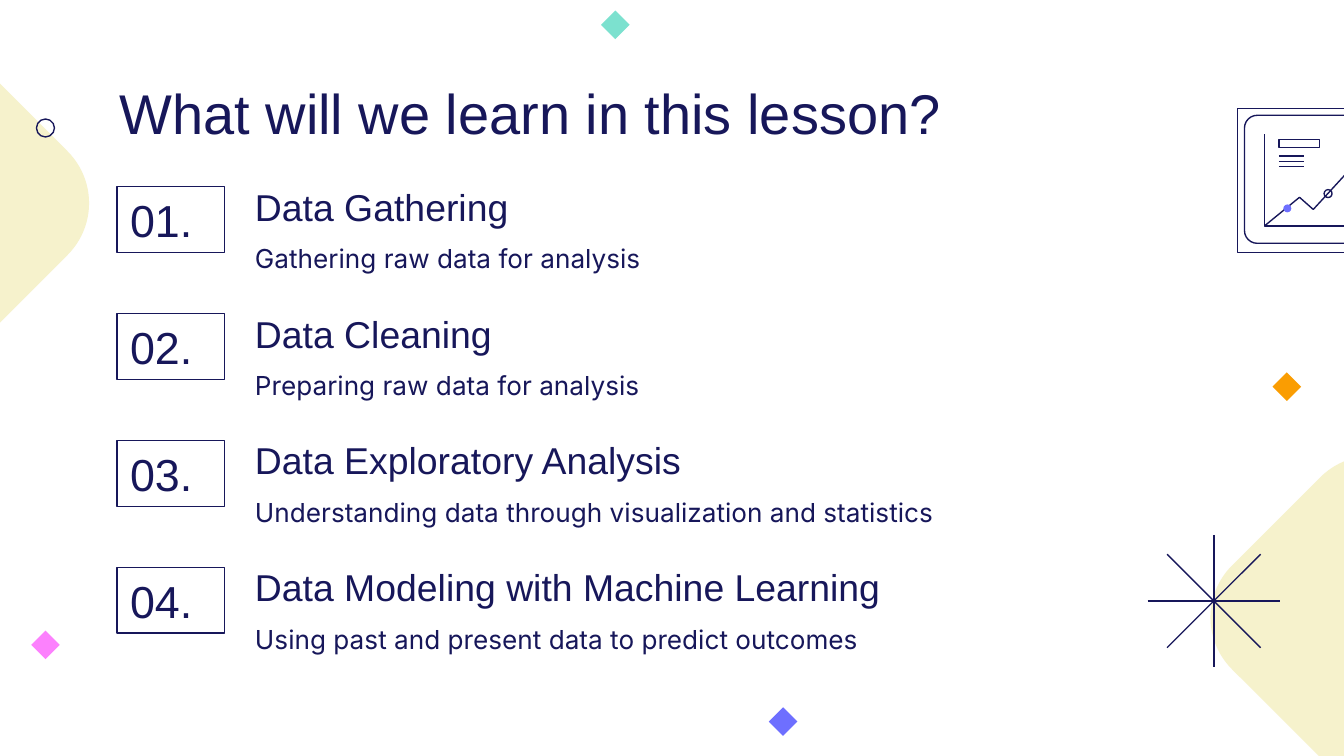
from math import cos, pi, sin

from lxml import etree
from pptx import Presentation
from pptx.dml.color import RGBColor
from pptx.enum.shapes import MSO_CONNECTOR, MSO_SHAPE
from pptx.enum.text import MSO_ANCHOR, PP_ALIGN
from pptx.oxml.ns import qn
from pptx.util import Cm, Pt

RECT = MSO_SHAPE.RECTANGLE
ROUNDED = MSO_SHAPE.ROUNDED_RECTANGLE
OVAL = MSO_SHAPE.OVAL
DIAMOND = MSO_SHAPE.DIAMOND
STRAIGHT = MSO_CONNECTOR.STRAIGHT
TOP, MIDDLE, BOTTOM = MSO_ANCHOR.TOP, MSO_ANCHOR.MIDDLE, MSO_ANCHOR.BOTTOM
LEFT = PP_ALIGN.LEFT

COLORS = {
    "navy": "17175A",
    "cream": "F6F2CC",
    "pink": "FC81FD",
    "violet": "6E6FFF",
    "orange": "FA9D02",
    "mint": "7CE1CF",
}

TITLE = "What will we learn in this lesson?"
TOPICS = [
    ("Data Gathering", "Gathering raw data for analysis"),
    ("Data Cleaning", "Preparing raw data for analysis"),
    ("Data Exploratory Analysis", "Understanding data through visualization and statistics"),
    ("Data Modeling with Machine Learning", "Using past and present data to predict outcomes"),
]
BLOBS = [(-1.37, 3.84), (25.93, 11.67)]
DIAMONDS = [
    (0.86, 12.19, "pink"),
    (14.8, 13.64, "violet"),
    (24.32, 7.31, "orange"),
    (11.63, 0.47, "mint"),
]
STAR_X, STAR_Y, STAR_RADIUS = 22.94, 11.36, 1.25
AXES = [(23.9, 2.54), (23.9, 4.27), (26.72, 4.27)]
TREND = [(23.9, 4.27), (24.56, 3.73), (24.82, 3.96), (25.7, 3), (26.06, 3.48), (26.72, 2.84)]
DOTS = [(24.33, 3.94, "violet", None), (25.1, 3.66, None, "navy")]
CAPTION_LINES = [2.95, 3.05, 3.15]

ROW_TOP, ROW_PITCH = 3.53, 2.4
NUMBER_LEFT, TEXT_LEFT, TEXT_WIDTH = 2.21, 4.57, 17.27


def rgb(name):
    return RGBColor.from_string(COLORS[name])


def paint(sp, fill=None, line=None):
    sp.shadow.inherit = False
    if fill:
        sp.fill.solid()
        sp.fill.fore_color.rgb = rgb(fill)
    else:
        sp.fill.background()
    if line:
        sp.line.color.rgb = rgb(line)
        sp.line.width = Pt(0.75)
    else:
        sp.line.fill.background()
    return sp


def add_shape(shapes, kind, x, y, w, h, fill=None, line=None):
    return paint(shapes.add_shape(kind, Cm(x), Cm(y), Cm(w), Cm(h)), fill, line)


def add_centered(shapes, kind, x, y, size, fill=None, line=None):
    return add_shape(shapes, kind, x - size / 2, y - size / 2, size, size, fill, line)


def add_line(shapes, x1, y1, x2, y2):
    c = shapes.add_connector(STRAIGHT, Cm(x1), Cm(y1), Cm(x2), Cm(y2))
    c.line.color.rgb = rgb("navy")
    c.line.width = Pt(0.75)
    etree.SubElement(c._element.spPr, qn("a:effectLst"))


def add_polyline(shapes, points):
    pts = [(Cm(x), Cm(y)) for x, y in points]
    fb = shapes.build_freeform(*pts[0], scale=1.0)
    fb.add_line_segments(pts[1:], close=False)
    paint(fb.convert_to_shape(), line="navy")


def add_text(text, x, y, w, h, size=14, font="Arial", anchor=TOP, spacing=1.0, boxed=False):
    if boxed:
        sp = add_shape(s.shapes, RECT, x, y, w, h, line="navy")
    else:
        sp = s.shapes.add_textbox(Cm(x), Cm(y), Cm(w), Cm(h))
    tf = sp.text_frame
    tf.word_wrap = True
    tf.vertical_anchor = anchor
    tf.margin_left = tf.margin_right = tf.margin_top = tf.margin_bottom = Cm(0.25)
    p = tf.paragraphs[0]
    p.alignment = LEFT
    p.line_spacing = spacing
    r = p.add_run()
    r.text = text
    r.font.size = Pt(size)
    r.font.name = font
    r.font.color.rgb = rgb("navy")


prs = Presentation()
prs.slide_width, prs.slide_height = Cm(25.4), Cm(14.29)
s = prs.slides.add_slide(prs.slide_layouts[6])

for x, y in BLOBS:
    sp = add_centered(s.shapes, ROUNDED, x, y, 5.13, fill="cream")
    sp.adjustments[0] = 0.27
    sp.rotation = 45

star = s.shapes.add_group_shape().shapes
for i in range(4):
    dx, dy = STAR_RADIUS * cos(i * pi / 4), STAR_RADIUS * sin(i * pi / 4)
    add_line(star, STAR_X - dx, STAR_Y - dy, STAR_X + dx, STAR_Y + dy)

for x, y, color in DIAMONDS:
    add_centered(s.shapes, DIAMOND, x, y, 0.54, fill=color)
add_centered(s.shapes, OVAL, 0.86, 2.42, 0.34, line="navy")

add_text(TITLE, 2.01, 1.24, 21.41, 1.6, size=30)
for i, (heading, detail) in enumerate(TOPICS):
    y = ROW_TOP + i * ROW_PITCH
    add_text(f"{i + 1:02}.", NUMBER_LEFT, y, 2.03, 1.24, size=24, anchor=MIDDLE, boxed=True)
    add_text(heading, TEXT_LEFT, y - 0.2, TEXT_WIDTH, 1.24, size=20, anchor=BOTTOM, spacing=1.15)
    add_text(detail, TEXT_LEFT, y + 0.71, TEXT_WIDTH, 1.12, font="Inter", spacing=1.15)

icon = s.shapes.add_group_shape().shapes
add_shape(icon, RECT, 23.39, 2.05, 3.53, 2.72, line="navy")
panel = add_shape(icon, ROUNDED, 23.52, 2.18, 3.4, 2.42, line="navy")
panel.adjustments[0] = 0.1
add_polyline(icon, AXES)
add_polyline(icon, TREND)
for x, y, fill, line in DOTS:
    add_centered(icon, OVAL, x, y, 0.15, fill=fill, line=line)
add_shape(icon, RECT, 24.17, 2.64, 0.77, 0.15, line="navy")
for y in CAPTION_LINES:
    add_line(icon, 24.17, y, 24.65, y)

prs.save("out.pptx")
